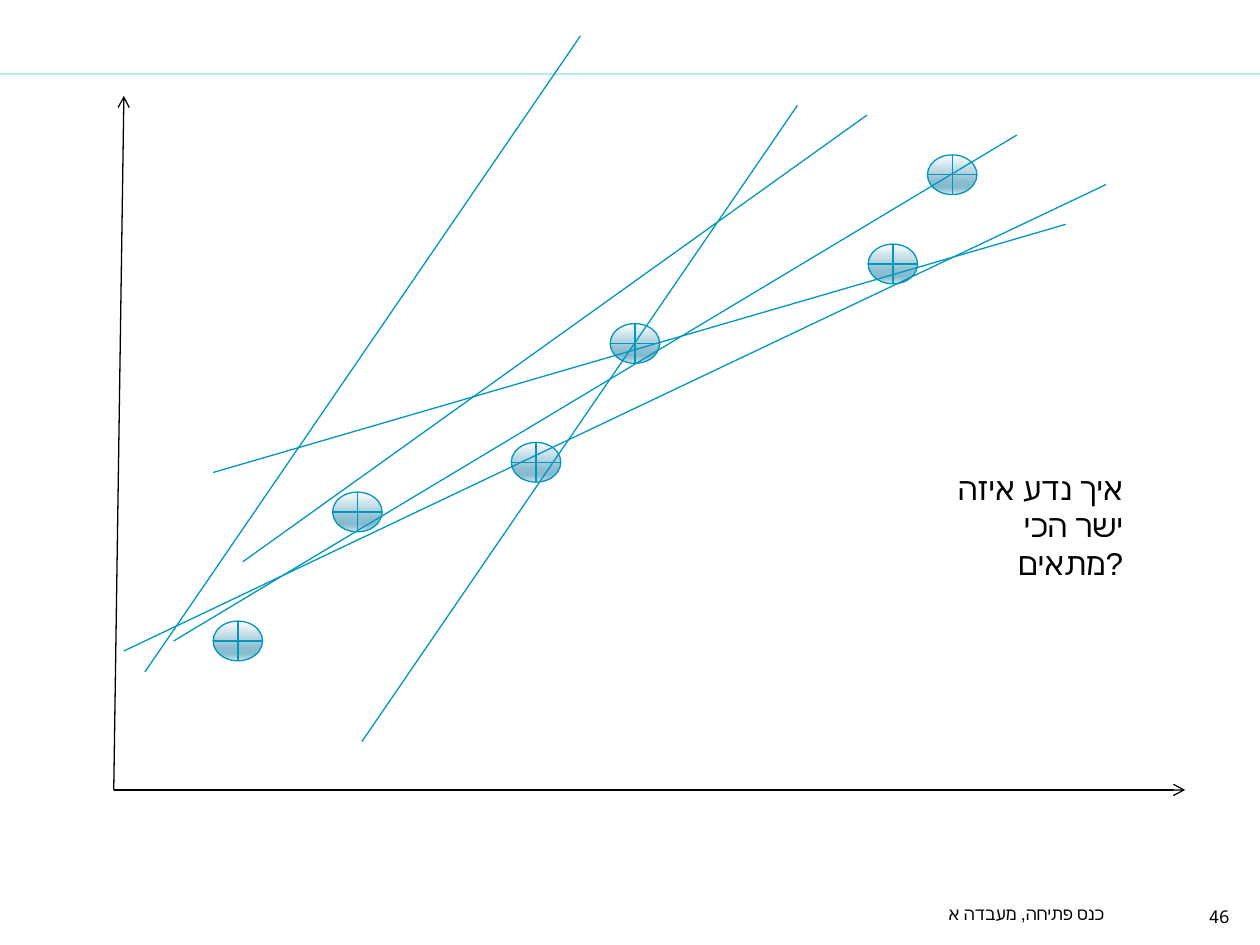
"""Build a slide of scattered measurements with candidate best-fit lines."""
import lxml.etree
import pptx
import pptx.dml.color
import pptx.enum.shapes
import pptx.enum.text
import pptx.oxml.ns
import pptx.util

Pt = pptx.util.Pt
RGBColor = pptx.dml.color.RGBColor
Anchor = pptx.enum.text.MSO_ANCHOR
qn = pptx.oxml.ns.qn

BLACK = RGBColor(0x00, 0x00, 0x00)
TEAL = RGBColor(0x00, 0x97, 0xBD)
PALE_BLUE = RGBColor(0xB5, 0xE9, 0xF4)
MARKER_STOPS = (
    (0, RGBColor(0xFE, 0xFE, 0xFE)),
    (68, RGBColor(0x8A, 0xBD, 0xD0)),
    (81, RGBColor(0x85, 0xBB, 0xCF)),
    (86, RGBColor(0x93, 0xC1, 0xD3)),
    (100, RGBColor(0xD4, 0xE4, 0xEB)),
)

MARKER_SIZE = (28.3, 22.7)
MEASUREMENTS = (
    (190.1, 281.2), (292.2, 252.8), (348.7, 184.9),
    (496.1, 139.5), (121.8, 354.9), (530, 88.5),
)
CANDIDATE_LINES = (
    (632, 105.5, 70.8, 372), (331.7, 20.5, 82.8, 384),
    (455.7, 60.2, 206.8, 423.8), (581, 77.2, 99.2, 366.3),
    (495.4, 65.8, 138.8, 321), (609, 128.2, 121.8, 270),
)
ORIGIN = (65, 451.4)
AXIS_ENDS = ((70.8, 54.8), (677.2, 451.4))

FOOTER_FORMAT = {"size": Pt(10), "name": "Noto Sans Mono"}
QUESTION_FORMAT = {"size": Pt(18), "name": "Arial"}


def apply_format(target, values):
    """Set each named attribute on the target."""
    for name, value in values.items():
        setattr(target, name, value)


def add_line(slide, ends, color, width=0.75, arrow=False):
    """Draw a straight line, optionally with an arrow at its end."""
    line = slide.shapes.add_connector(
        pptx.enum.shapes.MSO_CONNECTOR.STRAIGHT, *map(Pt, ends))
    line.line.color.rgb = color
    line.line.width = Pt(width)
    if arrow:
        outline = line.line._get_or_add_ln()
        lxml.etree.SubElement(outline, qn("a:tailEnd"), type="arrow")
    lxml.etree.SubElement(line._element.spPr, qn("a:effectLst"))


def add_marker(slide, corner):
    """Draw one crossed oval with a vertical gradient."""
    marker = slide.shapes.add_shape(
        pptx.enum.shapes.MSO_SHAPE.FLOWCHART_OR,
        *map(Pt, corner + MARKER_SIZE))
    marker.shadow.inherit = False
    marker.line.color.rgb = TEAL
    marker.line.width = Pt(0.75)
    marker.fill.gradient()
    marker.fill.gradient_angle = 270
    stops = marker._element.spPr.find(".//" + qn("a:gsLst"))
    for stop in list(stops):
        stops.remove(stop)
    for percent, color in MARKER_STOPS:
        stop = lxml.etree.SubElement(stops, qn("a:gs"), pos=str(percent * 1000))
        lxml.etree.SubElement(stop, qn("a:srgbClr"), val=str(color))


def add_label(slide, text, box, font_format, anchor):
    """Place right-aligned black text."""
    frame = slide.shapes.add_textbox(*map(Pt, box)).text_frame
    apply_format(frame, {"word_wrap": True, "vertical_anchor": anchor})
    paragraph = frame.paragraphs[0]
    paragraph.alignment = pptx.enum.text.PP_ALIGN.RIGHT
    run = paragraph.add_run()
    run.text = text
    apply_format(run.font, font_format)
    run.font.color.rgb = BLACK


def main():
    """Assemble and save the slide."""
    deck = pptx.Presentation()
    apply_format(deck, {"slide_width": Pt(720), "slide_height": Pt(540)})
    slide = deck.slides.add_slide(deck.slide_layouts[6])

    add_line(slide, (0, 42.3, 720, 42.3), PALE_BLUE, width=1.5)
    add_label(slide, "46", (681, 504.7, 28.8, 28.8),
              FOOTER_FORMAT, Anchor.BOTTOM)
    add_label(slide, "כנס פתיחה, מעבדה א", (399.6, 502.6, 238.3, 28.8),
              FOOTER_FORMAT, Anchor.BOTTOM)
    for axis_end in AXIS_ENDS:
        add_line(slide, ORIGIN + axis_end, BLACK, arrow=True)
    for corner in MEASUREMENTS:
        add_marker(slide, corner)
    for ends in CANDIDATE_LINES:
        add_line(slide, ends, TEAL)
    add_label(slide, "איך נדע איזה ישר הכי מתאים?", (524.2, 264.2, 124.6, 72.7),
              QUESTION_FORMAT, Anchor.TOP)

    deck.save("out.pptx")


if __name__ == "__main__":
    main()
